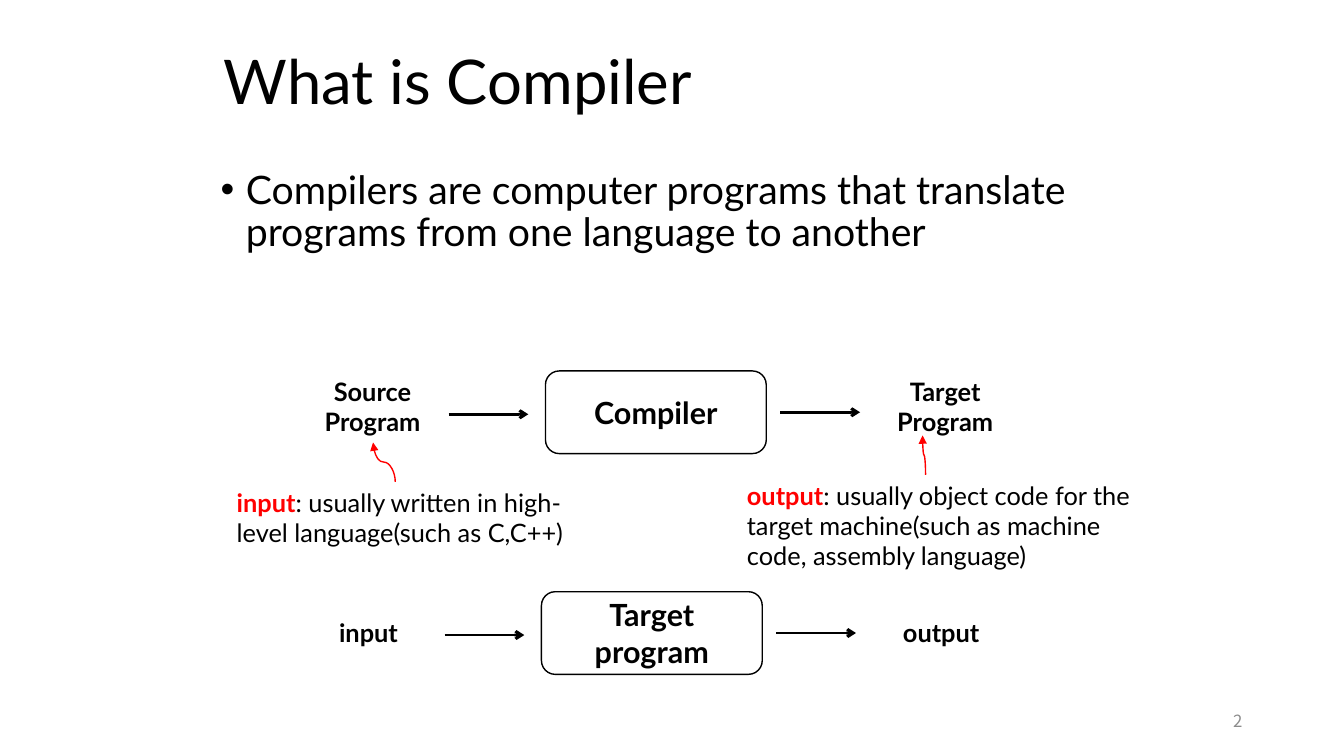
from lxml import etree
from pptx import Presentation
from pptx.dml.color import RGBColor
from pptx.enum import shapes, text
from pptx.oxml import ns
from pptx.util import Inches, Pt

BLACK = RGBColor(0x00, 0x00, 0x00)
RED = RGBColor(0xFF, 0x00, 0x00)
GRAY = RGBColor(0x8C, 0x8C, 0x8C)
FONT = "Lato"
NUMBER_FONT = "Noto Sans CJK SC"


def style_run(run, size, color=BLACK, bold=False, font=FONT):
    run.font.name = font
    run.font.size = Pt(size)
    run.font.bold = bold
    run.font.color.rgb = color


def add_text(slide, box, content, size, color=BLACK, bold=False, font=FONT,
             align=text.PP_ALIGN.LEFT, anchor=text.MSO_ANCHOR.TOP):
    shape = slide.shapes.add_textbox(*map(Inches, box))
    frame = shape.text_frame
    frame.word_wrap = True
    frame.vertical_anchor = anchor
    frame.text = content
    paragraph = frame.paragraphs[0]
    paragraph.alignment = align
    style_run(paragraph.runs[0], size, color, bold, font)
    return paragraph


def add_bullet(paragraph, indent):
    properties = paragraph._p.get_or_add_pPr()
    properties.set("marL", str(Inches(indent)))
    properties.set("indent", str(-Inches(indent)))
    etree.SubElement(properties, ns.qn("a:buFont")).set("typeface", "Arial")
    etree.SubElement(properties, ns.qn("a:buChar")).set("char", "•")


def add_label(slide, left, top, height, content):
    add_text(slide, (left, top, 1.83, height), content, 18.1, bold=True,
             align=text.PP_ALIGN.CENTER)


def add_note(slide, box, term, explanation):
    paragraph = add_text(slide, box, term, 18.1, RED, True)
    paragraph._p.get_or_add_pPr().set("marL", str(Inches(0.5)))
    run = paragraph.add_run()
    run.text = explanation
    style_run(run, 18.1)


def add_box(slide, left, top, content):
    shape = slide.shapes.add_shape(
        shapes.MSO_SHAPE.ROUNDED_RECTANGLE,
        Inches(left), Inches(top), Inches(2.19), Inches(0.82))
    shape.shadow.inherit = False
    shape.fill.background()
    shape.line.color.rgb = BLACK
    shape.line.width = Pt(1)
    frame = shape.text_frame
    frame.word_wrap = True
    frame.vertical_anchor = text.MSO_ANCHOR.MIDDLE
    frame.text = content
    paragraph = frame.paragraphs[0]
    paragraph.alignment = text.PP_ALIGN.CENTER
    style_run(paragraph.runs[0], 21.8, bold=True)


def add_arrow(slide, kind, begin, end, color, width, head):
    connector = slide.shapes.add_connector(kind, *map(Inches, begin + end))
    connector.line.color.rgb = color
    connector.line.width = Pt(width)
    properties = connector._element.spPr
    line = properties.find(ns.qn("a:ln"))
    etree.SubElement(line, ns.qn("a:tailEnd")).set("type", head)
    etree.SubElement(properties, ns.qn("a:effectLst"))
    return connector


def add_straight_arrow(slide, left, y):
    add_arrow(slide, shapes.MSO_CONNECTOR.STRAIGHT,
              (left, y), (left + 0.79, y), BLACK, 2, "arrow")


def add_rising_curve(slide, begin, end):
    center_x = (begin[0] + end[0]) / 2
    center_y = (begin[1] + end[1]) / 2
    half_run = (begin[1] - end[1]) / 2
    half_rise = (begin[0] - end[0]) / 2
    connector = add_arrow(
        slide, shapes.MSO_CONNECTOR.CURVE,
        (center_x - half_run, center_y + half_rise),
        (center_x + half_run, center_y - half_rise), RED, 1, "triangle")
    transform = connector._element.spPr.find(ns.qn("a:xfrm"))
    transform.set("rot", str(270 * 60000))


def add_flow(slide, left, top, label_top, label_height, source, process, result):
    add_label(slide, left, label_top, label_height, source)
    add_label(slide, left + 5.68, label_top, label_height, result)
    add_straight_arrow(slide, left + 1.67, top + 0.43)
    add_straight_arrow(slide, left + 4.96, top + 0.41)
    add_box(slide, left + 2.63, top, process)


def main():
    presentation = Presentation()
    presentation.slide_width = Inches(13.33)
    presentation.slide_height = Inches(7.5)
    slide = presentation.slides.add_slide(presentation.slide_layouts[6])

    title = add_text(slide, (2.12, 0.27, 8.98, 1.13), "What is Compiler", 44,
                     anchor=text.MSO_ANCHOR.MIDDLE)
    title.line_spacing = 0.9
    definition = add_text(
        slide, (2.09, 1.64, 9.01, 1.2),
        "Compilers are computer programs that translate programs "
        "from one language to another", 28)
    add_bullet(definition, 0.25)
    definition.line_spacing = 0.9

    add_flow(slide, 2.78, 3.68, 3.68, 0.71,
             "Source Program", "Compiler", "Target Program")
    add_note(slide, (1.75, 4.78, 4.33, 1.02), "input",
             ": usually written in high-level language(such as C,C++)")
    add_rising_curve(slide, (3.92, 4.78), (3.7, 4.39))
    add_note(slide, (6.81, 4.71, 4.73, 1.02), "output",
             ": usually object code for the target machine"
             "(such as machine code, assembly language)")
    add_rising_curve(slide, (9.18, 4.71), (9.15, 4.32))
    add_flow(slide, 2.74, 5.87, 6.07, 0.41,
             "input", "Target program", "output")

    add_text(slide, (9.42, 6.95, 3, 0.4), "2", 12, GRAY, font=NUMBER_FONT,
             align=text.PP_ALIGN.RIGHT, anchor=text.MSO_ANCHOR.MIDDLE)
    presentation.save("out.pptx")


if __name__ == "__main__":
    main()
